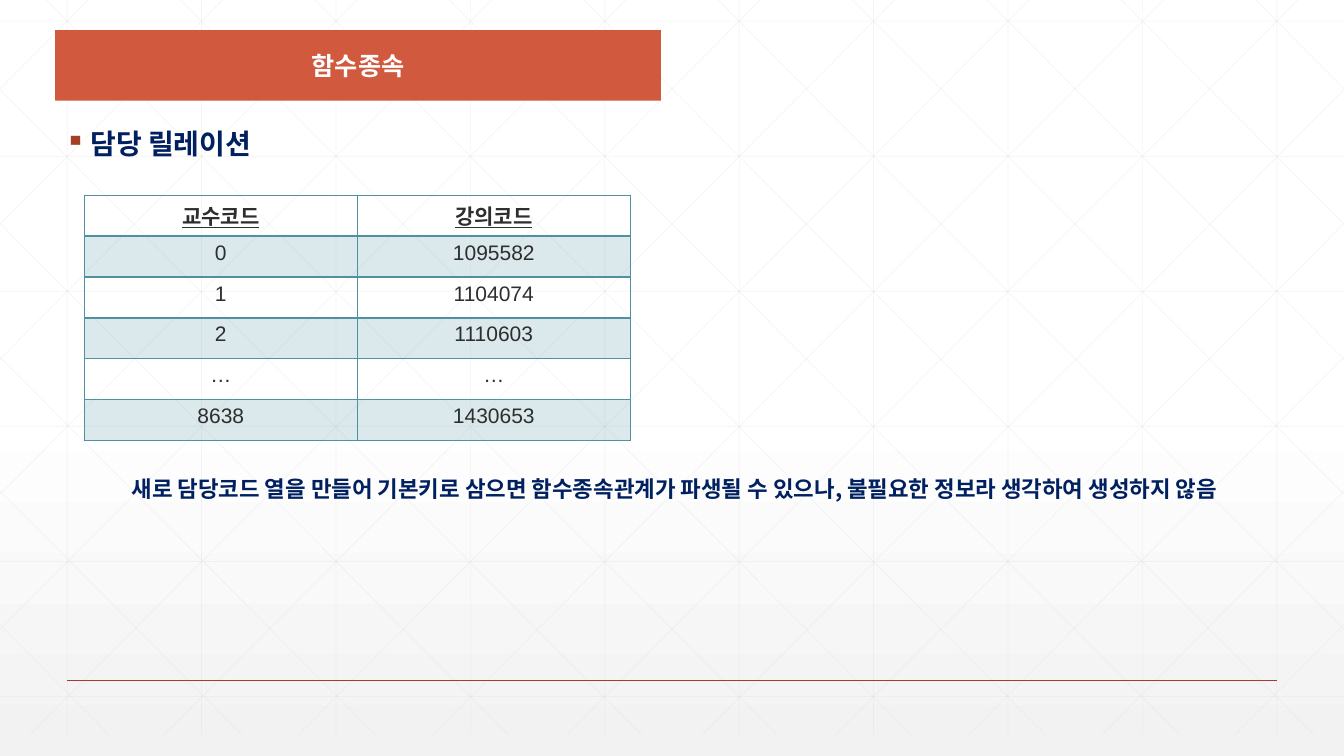
from lxml import etree
from pptx import Presentation
from pptx.dml.color import RGBColor
from pptx.enum.shapes import MSO_CONNECTOR, MSO_SHAPE
from pptx.enum.text import MSO_ANCHOR, PP_ALIGN
from pptx.oxml.ns import qn
from pptx.util import Pt

STRAIGHT = MSO_CONNECTOR.STRAIGHT
RECTANGLE = MSO_SHAPE.RECTANGLE
LEFT, CENTER = PP_ALIGN.LEFT, PP_ALIGN.CENTER
TOP, MIDDLE = MSO_ANCHOR.TOP, MSO_ANCHOR.MIDDLE

WIDTH, HEIGHT = 960, 540
GRID_TOP, GRID_BOTTOM = -15, 525
GRID_STEP = 96
SLOPE = 540 / 537

ROWS = [
    ("교수코드", "강의코드"),
    ("0", "1095582"),
    ("1", "1104074"),
    ("2", "1110603"),
    ("…", "…"),
    ("8638", "1430653"),
]


def color(value):
    return RGBColor.from_string(value)


def add(parent, tag, **attributes):
    return etree.SubElement(parent, qn(tag), attributes)


def set_opacity(element, percent):
    """Make every direct RGB colour below the element partly transparent."""
    for tint in element.iter(qn("a:srgbClr")):
        add(tint, "a:alpha", val=str(percent * 1000))


class SlideBuilder:
    FONT = "Noto Sans CJK KR"
    TABLE_FONT = "Arial"
    WHITE, NAVY, TEXT = "FFFFFF", "002060", "2D2E2D"
    GRID, RUST, ORANGE, TEAL = "D9D9D9", "A43F27", "D15A3E", "4F91A1"

    def __init__(self, deck):
        self.slide = deck.slides.add_slide(deck.slide_layouts[6])

    def background(self, stops):
        """Fill from top to bottom; stops are (percent, colour, opacity)."""
        fill = self.slide.background.fill
        fill.gradient()
        fill.gradient_angle = 270
        stop_list = next(self.slide.element.iter(qn("a:gsLst")))
        for stop in list(stop_list):
            stop_list.remove(stop)
        for percent, value, opacity in stops:
            stop = add(stop_list, "a:gs", pos=str(percent * 1000))
            add(stop, "a:srgbClr", val=value)
            if opacity < 100:
                set_opacity(stop, opacity)

    def line(self, x1, y1, x2, y2, value=GRID, width=0.5, opacity=25):
        connector = self.slide.shapes.add_connector(
            STRAIGHT, Pt(x1), Pt(y1), Pt(x2), Pt(y2))
        connector.line.color.rgb = color(value)
        connector.line.width = Pt(width)
        properties = connector._element.spPr
        if opacity < 100:
            set_opacity(properties, opacity)
        add(properties, "a:effectLst")

    def mirrored_line(self, x1, y1, x2, y2):
        self.line(x1, y1, x2, y2)
        self.line(WIDTH - x1, y1, WIDTH - x2, y2)

    def format_text(self, para, size, value, bold=True, font=FONT, underline=False):
        for span in para.runs:
            span.font.size = Pt(size)
            span.font.bold = bold
            span.font.underline = underline
            span.font.name = font
            span.font.color.rgb = color(value)
            latin = span.font._element.find(qn("a:latin"))
            east_asian = etree.Element(qn("a:ea"), typeface=self.FONT)
            latin.addnext(east_asian)

    def banner(self, text, left, top, width, height):
        box = self.slide.shapes.add_shape(
            RECTANGLE, Pt(left), Pt(top), Pt(width), Pt(height))
        box.shadow.inherit = False
        box.fill.solid()
        box.fill.fore_color.rgb = color(self.ORANGE)
        box.line.fill.background()
        box.text_frame.text = text
        box.text_frame.vertical_anchor = MIDDLE
        para = box.text_frame.paragraphs[0]
        para.alignment = CENTER
        self.format_text(para, 18, self.WHITE)

    def text(self, text, left, top, width, height, size, align=LEFT, bullet=None):
        box = self.slide.shapes.add_textbox(
            Pt(left), Pt(top), Pt(width), Pt(height))
        frame = box.text_frame
        frame.word_wrap = True
        frame.vertical_anchor = TOP
        frame.margin_top = frame.margin_bottom = 0
        frame.text = text
        para = frame.paragraphs[0]
        para.alignment = align
        para.line_spacing = 0.9
        if bullet:
            properties = para._p.get_or_add_pPr()
            properties.set("marL", str(Pt(18)))
            properties.set("indent", str(Pt(-18)))
            add(add(properties, "a:buClr"), "a:srgbClr", val=self.RUST)
            add(properties, "a:buChar", char=bullet)
        self.format_text(para, size, self.NAVY)

    def cell_borders(self, cell, widths):
        """Draw the borders; widths are for left, right, top and bottom."""
        properties = cell._tc.get_or_add_tcPr()
        for side, width in zip("LRTB", widths):
            border = add(properties, f"a:ln{side}", w=str(Pt(width)))
            add(add(border, "a:solidFill"), "a:srgbClr", val=self.TEAL)

    def table(self, rows, left, top, width, height):
        table = self.slide.shapes.add_table(
            len(rows), len(rows[0]), Pt(left), Pt(top), Pt(width), Pt(height)).table
        table.first_row = table.horz_banding = False
        for row, values in enumerate(rows):
            header = row == 0
            for column, value in enumerate(values):
                cell = table.cell(row, column)
                cell.text = value
                para = cell.text_frame.paragraphs[0]
                para.alignment = CENTER
                self.format_text(para, 15, self.TEXT, header, self.TABLE_FONT, header)
                self.cell_borders(
                    cell, (1, 1, 2 if row == 1 else 1, 2 if header else 1))
                if row % 2:
                    cell.fill.solid()
                    cell.fill.fore_color.rgb = color(self.TEAL)
                    set_opacity(cell._tc.tcPr.find(qn("a:solidFill")), 20)
                else:
                    cell.fill.background()


def draw_grid(page):
    for index in range(10):
        x = 48 + GRID_STEP * index
        page.line(x, GRID_TOP, x, GRID_BOTTOM)
    for index in range(6):
        y = 15.1 + 96.48 * index
        page.line(0, y, WIDTH, y)
    for index in range(10):
        x = 18 + GRID_STEP * index
        end = min(x + 537, WIDTH)
        page.mirrored_line(x, GRID_TOP, end, GRID_TOP + (end - x) * SLOPE)
    for index in range(5):
        y = 64 + 95.6 * index
        page.mirrored_line((GRID_BOTTOM - y) / SLOPE, GRID_BOTTOM, 0, y)


def main():
    deck = Presentation()
    deck.slide_width, deck.slide_height = Pt(WIDTH), Pt(HEIGHT)
    page = SlideBuilder(deck)
    page.background([(0, "FFFFFF", 100), (53, "FFFFFF", 100), (100, "F2F2F2", 65)])
    draw_grid(page)
    page.line(48, 486, 912, 486, page.RUST, 1, 100)
    page.table(ROWS, 60.2, 139.5, 390, 175.2)
    page.banner("함수종속", 39.4, 21.5, 432.8, 50.5)
    page.text("담당 릴레이션", 39.4, 92.9, 870.5, 29.5, 20, bullet="▪")
    page.text(" 새로 담당코드 열을 만들어 기본키로 삼으면 함수종속관계가 파생될 수 있으나, "
              "불필요한 정보라 생각하여 생성하지 않음",
              25.9, 341.3, 907.9, 29.5, 16, CENTER)
    deck.save("out.pptx")


if __name__ == "__main__":
    main()
